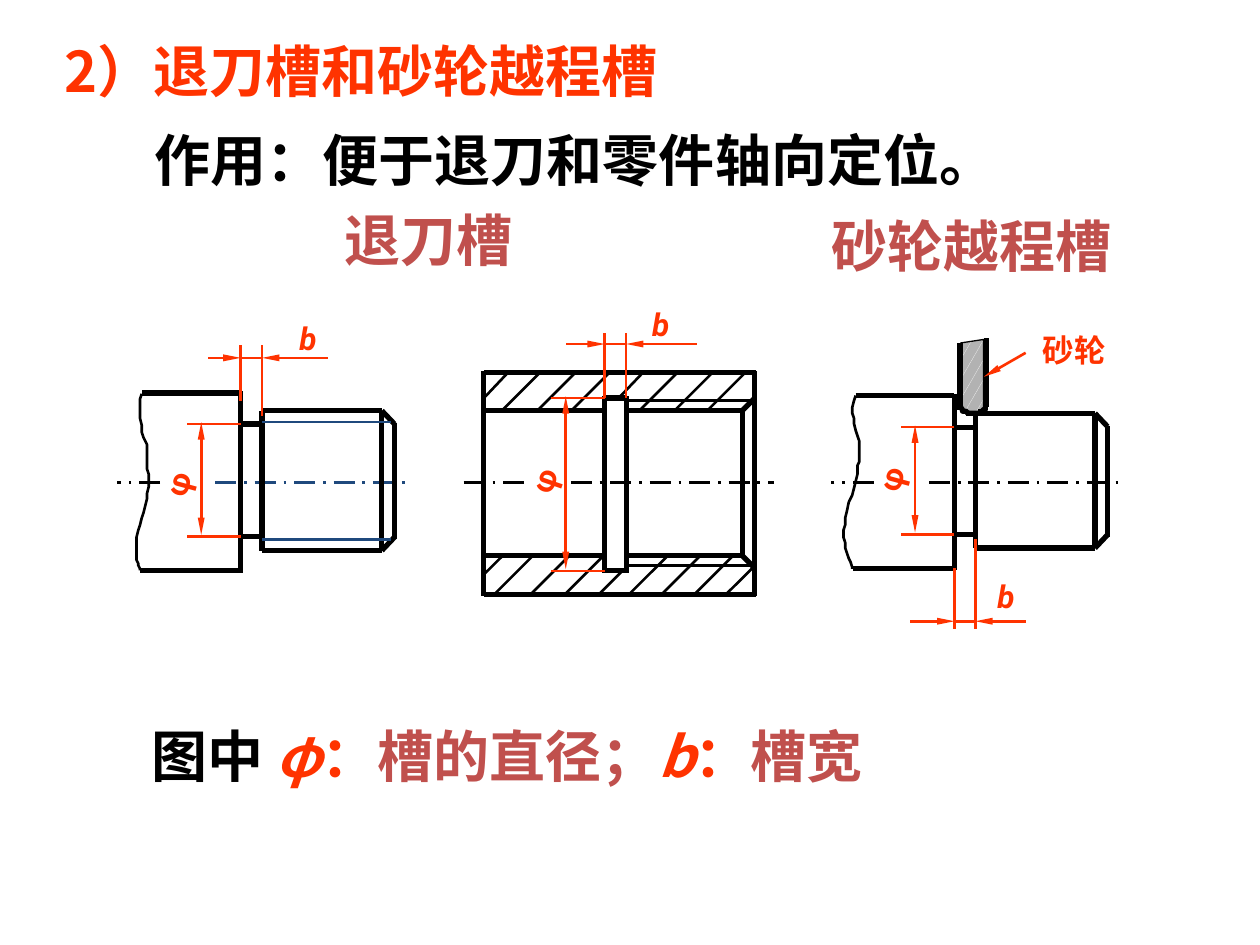
from dataclasses import dataclass
from typing import NamedTuple, Optional

from lxml.etree import SubElement
from pptx import Presentation
from pptx.dml.color import RGBColor
from pptx.enum.dml import MSO_LINE, MSO_PATTERN
from pptx.enum.shapes import MSO_CONNECTOR
from pptx.enum.text import MSO_ANCHOR, MSO_AUTO_SIZE, PP_ALIGN
from pptx.oxml.ns import qn
from pptx.util import Pt

BLACK = RGBColor(0x00, 0x00, 0x00)
WHITE = RGBColor(0xFF, 0xFF, 0xFF)
GRAY = RGBColor(0xB2, 0xB2, 0xB2)
ORANGE = RGBColor(0xFF, 0x33, 0x00)
BRICK = RGBColor(0xC0, 0x50, 0x4D)
NAVY = RGBColor(0x1F, 0x49, 0x7D)
CJK = "Noto Sans CJK SC"


class Run(NamedTuple):
    text: str
    color: RGBColor
    italic: bool = False


class Stroke(NamedTuple):
    color: RGBColor
    width: float
    dash: Optional[MSO_LINE] = None
    arrows: tuple = ()


OUTLINE = Stroke(BLACK, 3)
THIN = Stroke(BLACK, 1.5)
AXIS = Stroke(BLACK, 1.5, MSO_LINE.LONG_DASH_DOT)
THREAD = Stroke(NAVY, 1.5)
THREAD_AXIS = Stroke(NAVY, 1.5, MSO_LINE.LONG_DASH_DOT)
EXTENSION = Stroke(ORANGE, 1.5)
ARROW = Stroke(ORANGE, 1.5, arrows=("headEnd",))
DOUBLE_ARROW = Stroke(ORANGE, 1.5, arrows=("headEnd", "tailEnd"))


@dataclass
class Label:
    runs: list
    box: tuple
    size: float = 32
    font: str = CJK
    centered: bool = False
    wrap: bool = True
    rotation: float = 0


@dataclass
class Shaft:
    shoulder: float
    neck: float
    chamfer: float
    end: float
    body: tuple
    journal: tuple
    groove: tuple
    break_line: list
    axis: Stroke


@dataclass
class WidthDimension:
    left: float
    right: float
    y: float
    left_end: float
    right_end: float
    left_start: float
    right_start: float
    far_y: float


def write_label(shape, label: Label) -> None:
    shape.left, shape.top, shape.width, shape.height = (Pt(v) for v in label.box)
    shape.rotation = label.rotation
    frame = shape.text_frame
    frame.word_wrap = label.wrap
    frame.auto_size = MSO_AUTO_SIZE.SHAPE_TO_FIT_TEXT
    frame.vertical_anchor = MSO_ANCHOR.MIDDLE
    paragraph = frame.paragraphs[0]
    paragraph.alignment = PP_ALIGN.CENTER if label.centered else PP_ALIGN.LEFT
    paragraph.font.size = Pt(label.size)
    paragraph.font.bold = True
    paragraph.font.name = label.font
    defaults = paragraph._p.get_or_add_pPr().find(qn("a:defRPr"))
    SubElement(defaults, qn("a:ea"), typeface=label.font)
    for part in label.runs:
        run = paragraph.add_run()
        run.text = part.text
        run.font.color.rgb = part.color
        if part.italic:
            run.font.italic = True


def add_label(shapes, label: Label) -> None:
    write_label(shapes.add_textbox(*(Pt(v) for v in label.box)), label)


def add_symbol(shapes, symbol: str, left: float, top: float, rotation: float = 0) -> None:
    run = Run(symbol, ORANGE, italic=symbol == "b")
    add_label(shapes, Label([run], (left, top, 26.5, 36), 18, "Roboto", True, False, rotation))


def draw_lines(shapes, stroke: Stroke, *segments: tuple) -> None:
    for segment in segments:
        connector = shapes.add_connector(MSO_CONNECTOR.STRAIGHT, *(Pt(v) for v in segment))
        connector.line.color.rgb = stroke.color
        connector.line.width = Pt(stroke.width)
        if stroke.dash is not None:
            connector.line.dash_style = stroke.dash
        properties = connector._element.spPr
        for end in stroke.arrows:
            SubElement(properties.find(qn("a:ln")), qn(f"a:{end}"), type="triangle", w="sm", len="lg")
        SubElement(properties, qn("a:effectLst"))


def draw_path(shapes, points: list, stroke: Stroke, close: bool = False):
    builder = shapes.build_freeform(*points[0], scale=Pt(1))
    builder.add_line_segments(points[1:], close=close)
    shape = builder.convert_to_shape()
    shape.shadow.inherit = False
    shape.fill.background()
    shape.line.color.rgb = stroke.color
    shape.line.width = Pt(stroke.width)
    return shape


def curve_points(controls: list, steps: int = 8) -> list:
    points = [controls[0]]
    for start in range(0, len(controls) - 1, 3):
        a, b, c, d = controls[start:start + 4]
        for step in range(1, steps + 1):
            t = step / steps
            u = 1 - t
            points.append(tuple(u**3 * p + 3 * u * u * t * q + 3 * u * t * t * r + t**3 * s
                                for p, q, r, s in zip(a, b, c, d)))
    return points


def draw_diameter(shapes, edge: float, x: float, top: float, bottom: float) -> None:
    draw_lines(shapes, EXTENSION, *((edge, y, edge - 30.5, y) for y in (top, bottom)))
    draw_lines(shapes, DOUBLE_ARROW, (x, bottom - 1, x, top - 1))


def draw_width(shapes, dim: WidthDimension) -> None:
    draw_lines(shapes, EXTENSION, (dim.left, dim.left_start, dim.left, dim.far_y),
               (dim.right, dim.right_start, dim.right, dim.far_y),
               (dim.left, dim.y, dim.right, dim.y))
    draw_lines(shapes, ARROW, (dim.left, dim.y, dim.left_end, dim.y),
               (dim.right, dim.y, dim.right_end, dim.y))


def draw_shaft(shapes, shaft: Shaft) -> None:
    shoulder, neck, chamfer, end = shaft.shoulder, shaft.neck, shaft.chamfer, shaft.end
    body_left = shaft.break_line[0][0]
    body_top, body_bottom = shaft.body
    top, bottom = shaft.journal
    draw_lines(shapes, shaft.axis, (shoulder - 14.5, 275.8, shoulder + 95.5, 275.8))
    draw_lines(shapes, AXIS, (shoulder - 46, 275.8, shoulder - 70.5, 275.8))
    draw_lines(shapes, OUTLINE,
               (neck, top, chamfer, top), (chamfer, top, chamfer, bottom),
               (chamfer, bottom, neck, bottom), (neck, top, neck, bottom),
               (chamfer, top, end, top + 7.6), (end, top + 7, end, bottom - 6.5),
               (end, bottom - 7.6, chamfer, bottom),
               (shoulder, body_top - 1, shoulder, body_bottom + 1),
               (body_left, body_top, shoulder, body_top),
               (shaft.break_line[-1][0], body_bottom, shoulder, body_bottom),
               *((shoulder, y, neck, y) for y in shaft.groove))
    draw_path(shapes, curve_points(shaft.break_line), THIN)
    draw_diameter(shapes, shoulder, shoulder - 22.5, *shaft.groove)


def draw_sleeve(shapes) -> None:
    left, right, top, bottom = 276.5, 431.3, 213, 339.8
    bore_top, bore_bottom, chamfer = 234.7, 317.5, 424.1
    groove_left, groove_right, groove_top, groove_bottom = 345.6, 357.8, 227.5, 326.2
    draw_lines(shapes, AXIS, (326.2, 275.8, 442.1, 275.8), (265, 275.8, 299.5, 275.8))
    draw_lines(shapes, THIN, (groove_right, 229, 429, 229), (groove_right, 323.3, 429, 323.3),
               *((x, 234.2, x + 21.6, 212.6) for x in (287.3, 307.5, 326.9, 365.8, 385.9, 404.6)),
               *((x, 339.1, x + 22.4, 316.7) for x in (283, 303.8, 323.3, 360, 378.7, 397.4)),
               (353.5, 227.5, 367.9, 212.4), (left, 227.5, 290.2, top),
               (414.7, bottom, 430.6, 324), (342, bottom, 355.7, 326.2), (left, 328.3, 288, 316.8))
    draw_lines(shapes, OUTLINE,
               *((x, top - 1, x, bottom + 1) for x in (left, right)),
               *((left, y, right + 1, y) for y in (top, bottom)),
               *((x, groove_top - 1, x, groove_bottom + 1) for x in (groove_left, groove_right)),
               *((groove_left, y, groove_right, y) for y in (groove_top, groove_bottom)),
               *(line for y in (bore_top, bore_bottom)
                 for line in ((left, y, groove_left, y), (groove_right, y, chamfer, y))),
               (chamfer, bore_top, chamfer, bore_bottom),
               (chamfer, bore_top, right, groove_top), (chamfer, bore_bottom, right, 324.7))
    draw_diameter(shapes, groove_left, 323.3, groove_top, groove_bottom)
    draw_width(shapes, WidthDimension(groove_left, groove_right, 196.6, 323.3, 398.2,
                                      groove_top, groove_top, 190.1))
    add_symbol(shapes, "b", 364.3, 167)
    add_symbol(shapes, "φ", 297, 257, 288.9)


def draw_wheel(shapes) -> None:
    wheel = draw_path(shapes, [(548.6, 195.8), (548.6, 230.4), (549.4, 233.3), (552.2, 235.4),
                               (559.4, 234.7), (561.6, 233.3), (562.3, 231.1), (562.3, 193.7)],
                      Stroke(BLACK, 0.75), close=True)
    wheel.fill.patterned()
    wheel.fill.pattern = MSO_PATTERN.SMALL_CONFETTI
    wheel.fill.fore_color.rgb = WHITE
    wheel.fill.back_color.rgb = GRAY
    draw_lines(shapes, OUTLINE, (563.8, 232.6, 563.8, 193), (560.2, 236.2, 552.2, 236.2),
               (548.6, 234, 548.6, 195.8))
    for corner in ([(549.4, 231.8), (549.4, 232.6), (549.4, 234), (550.1, 234.7),
                    (550.8, 235.4), (553.7, 235.4), (553.7, 236.2)],
                   [(563, 231.1), (563, 231.1), (563.8, 232.6), (563, 233.3),
                    (562.3, 234.7), (560.2, 235.4), (559.4, 235.4)]):
        draw_path(shapes, curve_points(corner), OUTLINE)
    draw_lines(shapes, ARROW, (562.3, 215.3, 586.1, 201.6))
    add_label(shapes, Label([Run("砂轮", ORANGE)], (582.5, 182.2, 62.6, 36), 18, "Arial", True, False))


def main() -> None:
    deck = Presentation()
    deck.slide_width, deck.slide_height = Pt(720), Pt(540)
    slide = deck.slides.add_slide(deck.slide_layouts[5])
    write_label(slide.shapes.title,
                Label([Run("2）退刀槽和砂轮越程槽", ORANGE)], (29.5, 17.3, 362.2, 45.4)))
    legend = [Run("图中 ", BLACK), Run("φ", ORANGE, True), Run("：", ORANGE), Run("槽的直径；", BRICK),
              Run("b", ORANGE, True), Run("：", ORANGE), Run("槽宽", BRICK)]
    for label in (Label([Run("作用：便于退刀和零件轴向定位。", BLACK)], (81.4, 68.4, 499.7, 45.4)),
                  Label(legend, (79.2, 409, 431.3, 45.4)),
                  Label([Run("砂轮越程槽", BRICK)], (464.4, 117.4, 182.2, 45.4), centered=True),
                  Label([Run("退刀槽", BRICK)], (187.2, 113.8, 115.9, 45.4), centered=True)):
        add_label(slide.shapes, label)

    threaded, sleeve, ground = (slide.shapes.add_group_shape().shapes for _ in range(3))
    draw_shaft(threaded, Shaft(
        137.5, 149.8, 218.2, 225.4, (224.6, 326.2), (234.7, 314.6), (242.3, 306.7),
        [(81.4, 224.6), (77.8, 234.7), (80.6, 244.1), (83.5, 254.2), (83.5, 263.5),
         (85.7, 272.2), (84.2, 281.5), (83.5, 290.9), (78.5, 302.4), (77.8, 309.6),
         (77, 316.8), (79.2, 323.3), (79.9, 326.2)], THREAD_AXIS))
    draw_lines(threaded, THREAD, *((149.8, y, 223.2, y) for y in (241.2, 308.2)))
    draw_width(threaded, WidthDimension(137.5, 149.8, 204.5, 118.8, 187.2, 229, 237.6, 197.3))
    add_symbol(threaded, "b", 162.7, 175)
    add_symbol(threaded, "φ", 87.8, 259.2, 285.1)

    draw_sleeve(sleeve)

    draw_shaft(ground, Shaft(
        545.4, 557.3, 625.7, 632.9, (226.1, 324.7), (236.2, 313.2), (244.1, 305.3),
        [(488.9, 226.1), (485.3, 234.7), (488.2, 243.4), (491, 252), (491, 259.9),
         (491, 262.8), (489.6, 271.4), (488.2, 280.1), (482.4, 294.5), (482.4, 303.1),
         (481.7, 312.5), (486, 321.1), (487.4, 325.4)], AXIS))
    draw_width(ground, WidthDimension(545.4, 557.3, 355, 519.8, 586.1, 324.7, 308.2, 359.3))
    add_symbol(ground, "b", 561.6, 322.6)
    add_symbol(ground, "φ", 495.4, 256.3, 285.1)
    draw_wheel(ground)
    deck.save("out.pptx")


if __name__ == "__main__":
    main()
